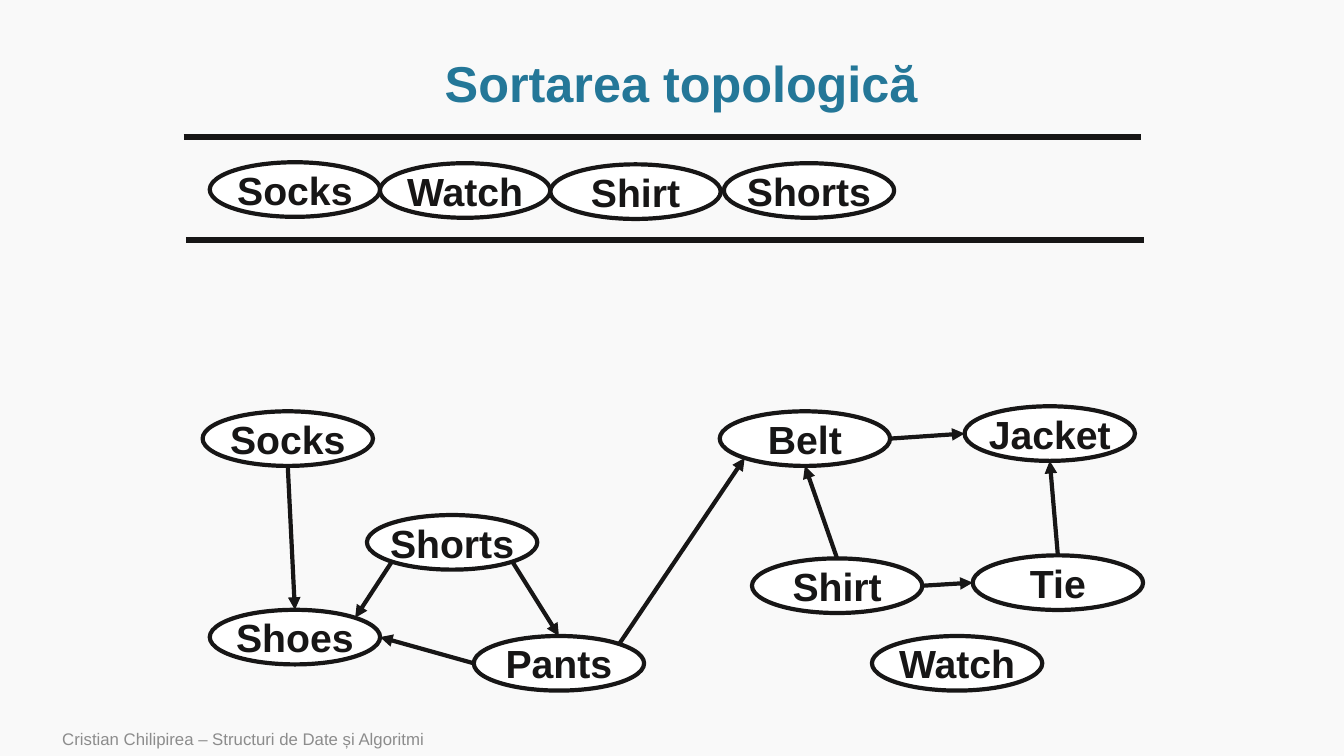
from dataclasses import dataclass
from math import cos, pi, sin

from lxml.etree import SubElement
from pptx import Presentation
from pptx.dml.color import RGBColor
from pptx.enum.shapes import MSO_CONNECTOR, MSO_SHAPE
from pptx.enum.text import MSO_ANCHOR, PP_ALIGN
from pptx.oxml.ns import qn
from pptx.util import Pt


@dataclass(frozen=True)
class Theme:
    font: str = "Arial"
    background: RGBColor = RGBColor(0xF9, 0xF9, 0xF9)
    title: RGBColor = RGBColor(0x24, 0x77, 0x98)
    ink: RGBColor = RGBColor(0x17, 0x16, 0x16)
    node: RGBColor = RGBColor(0xFF, 0xFF, 0xFF)
    footer: RGBColor = RGBColor(0x8C, 0x8C, 0x8C)
    title_size: Pt = Pt(36)
    node_size: Pt = Pt(28)
    footer_size: Pt = Pt(12)


theme = Theme()
NODE_WIDTH, NODE_HEIGHT = 121.7, 39

# Connection sites of an ellipse, counted anticlockwise from the top
TOP, TOP_LEFT, LEFT, BOTTOM_LEFT, BOTTOM, BOTTOM_RIGHT, RIGHT, TOP_RIGHT = range(8)

graph_positions = {
    "Socks": (144.7, 293.8),
    "Jacket": (689, 290.2),
    "Watch": (622.8, 454.3),
    "Shorts": (262.1, 367.9),
    "Shoes": (149.8, 435.6),
    "Belt": (514.1, 293.8),
    "Pants": (338.4, 454.3),
    "Shirt": (537.1, 398.9),
    "Tie": (694.8, 396.7),
}
dependencies = [
    ("Socks", BOTTOM, "Shoes", TOP),
    ("Shorts", BOTTOM_LEFT, "Shoes", TOP_RIGHT),
    ("Shorts", BOTTOM_RIGHT, "Pants", TOP),
    ("Pants", LEFT, "Shoes", RIGHT),
    ("Pants", TOP_RIGHT, "Belt", BOTTOM_LEFT),
    ("Shirt", TOP, "Belt", BOTTOM),
    ("Shirt", RIGHT, "Tie", LEFT),
    ("Tie", TOP, "Jacket", BOTTOM),
    ("Belt", RIGHT, "Jacket", LEFT),
]
sorted_positions = [
    ("Socks", 149.8, 115.9),
    ("Watch", 271.4, 116.6),
    ("Shirt", 393.1, 117.4),
    ("Shorts", 517, 116.6),
]
rules = [(131.2, 815, 97.9), (132.8, 817.2, 171.4)]

presentation = Presentation()
presentation.slide_width, presentation.slide_height = Pt(960), Pt(540)
slide = presentation.slides.add_slide(presentation.slide_layouts[5])
slide.background.fill.solid()
slide.background.fill.fore_color.rgb = theme.background


def write(shape, text, size, color, bold, alignment):
    frame = shape.text_frame
    frame.text = text
    frame.vertical_anchor = MSO_ANCHOR.MIDDLE
    paragraph = frame.paragraphs[0]
    paragraph.alignment = alignment
    font = paragraph.runs[0].font
    font.name, font.size, font.bold = theme.font, size, bold
    font.color.rgb = color


def add_line(start, end, width):
    line = slide.shapes.add_connector(
        MSO_CONNECTOR.STRAIGHT, *(Pt(value) for value in (*start, *end)))
    line.line.color.rgb = theme.ink
    line.line.width = Pt(width)
    SubElement(line._element.spPr, qn("a:effectLst"))
    return line


title = slide.shapes.title
title.left, title.top, title.width, title.height = Pt(72.7), Pt(36.7), Pt(828), Pt(49.7)
write(title, "Sortarea topologică", theme.title_size, theme.title, True, PP_ALIGN.CENTER)
title.text_frame.paragraphs[0].line_spacing = 0.9

# Graph nodes first, then the sorted row
graph_nodes = {}
graph_items = [(name, left, top) for name, (left, top) in graph_positions.items()]
for name, left, top in graph_items + sorted_positions:
    node = slide.shapes.add_shape(
        MSO_SHAPE.OVAL, Pt(left), Pt(top), Pt(NODE_WIDTH), Pt(NODE_HEIGHT))
    node.shadow.inherit = False
    node.fill.solid()
    node.fill.fore_color.rgb = theme.node
    node.line.color.rgb = theme.ink
    node.line.width = Pt(3)
    write(node, name, theme.node_size, theme.ink, True, PP_ALIGN.CENTER)
    node.text_frame.word_wrap = False
    graph_nodes.setdefault(name, node)

# Arrows attached to the ellipses' connection sites
for source, source_site, target, target_site in dependencies:
    ends = []
    for name, site in ((source, source_site), (target, target_site)):
        left, top = graph_positions[name]
        angle = pi / 2 + site * pi / 4
        ends.append((left + NODE_WIDTH / 2 * (1 + cos(angle)),
                     top + NODE_HEIGHT / 2 * (1 - sin(angle))))
    arrow = add_line(*ends, 3)
    SubElement(arrow.line._get_or_add_ln(), qn("a:tailEnd"), type="triangle")
    properties = arrow._element.nvCxnSpPr.cNvCxnSpPr
    for tag, name, site in (("a:stCxn", source, source_site),
                            ("a:endCxn", target, target_site)):
        SubElement(properties, qn(tag), id=str(graph_nodes[name].shape_id), idx=str(site))

for left, right, height in rules:
    add_line((left, height), (right, height), 4)

footer = slide.shapes.add_textbox(Pt(37.4), Pt(515.5), Pt(604.8), Pt(24.5))
write(footer, "Cristian Chilipirea – Structuri de Date și Algoritmi",
      theme.footer_size, theme.footer, False, PP_ALIGN.LEFT)
footer.text_frame.word_wrap = True

presentation.save("out.pptx")
